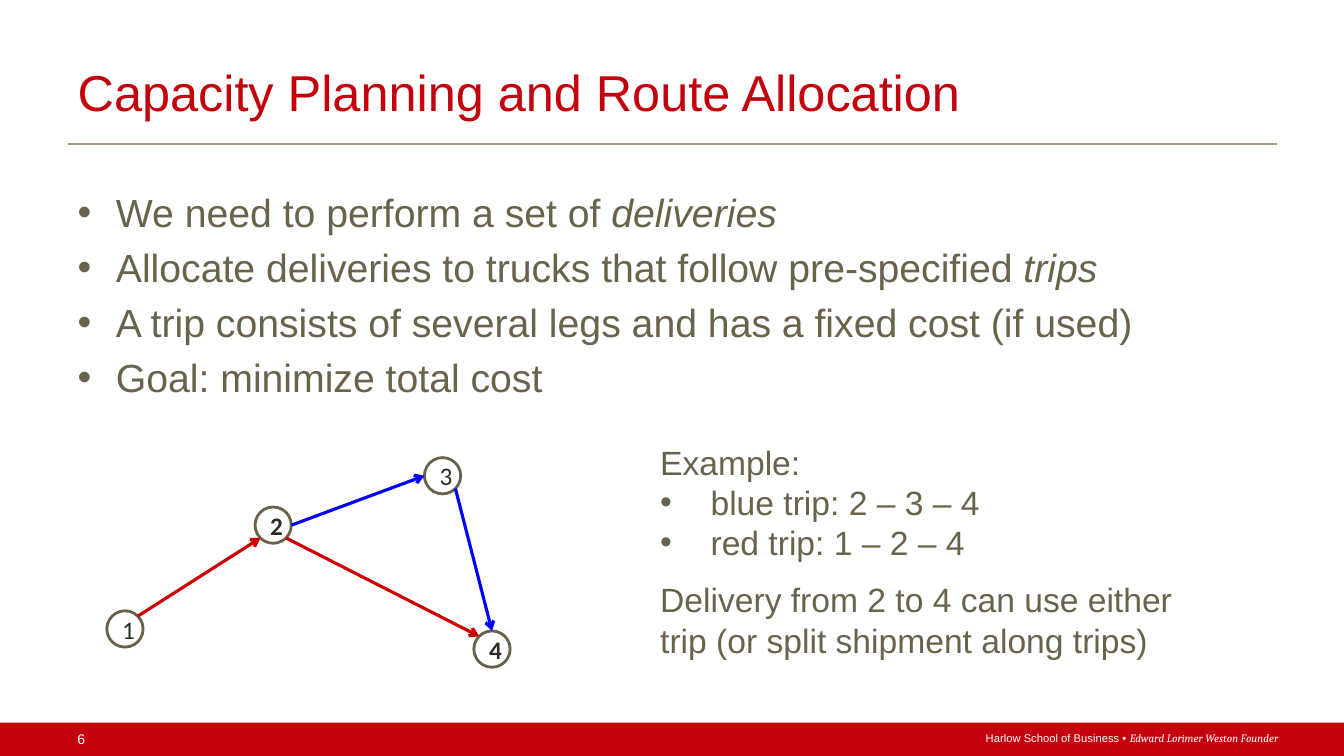
from lxml import etree
from pptx import Presentation
from pptx.dml.color import RGBColor
from pptx.enum.shapes import MSO_CONNECTOR as CONN, MSO_SHAPE as SHAPE
from pptx.enum.text import MSO_ANCHOR as ANCHOR, MSO_AUTO_SIZE as AUTO, PP_ALIGN as ALIGN
from pptx.oxml.ns import qn
from pptx.util import Pt

PX = 9144
RED = RGBColor(0xC4, 0x00, 0x0D)
TAN = RGBColor(0xA8, 0x9D, 0x7F)
OLIVE = RGBColor(0x69, 0x63, 0x4B)
INK = RGBColor(0x2F, 0x2B, 0x20)
WHITE = RGBColor(0xFF, 0xFF, 0xFF)
BLUE_TRIP = RGBColor(0x00, 0x00, 0xFF)
RED_TRIP = RGBColor(0xCC, 0x00, 0x00)

TITLE = "Capacity Planning and Route Allocation"
POINTS = [
    ["We need to perform a set of ", ("deliveries", {"italic": True})],
    ["Allocate deliveries to trucks that follow pre-specified ", ("trips", {"italic": True})],
    ["A trip consists of several legs and has a fixed cost (if used)"],
    ["Goal: minimize total cost"],
]
EXAMPLE = [
    (["Example:"], {}),
    (["blue trip: 2 – 3 – 4"], {"hang": 50}),
    (["red trip: 1 – 2 – 4"], {"hang": 50}),
    (["Delivery from 2 to 4 can use either"], {"before": 12}),
    (["trip (or split shipment along trips)"], {}),
]
FOOTER = ["Harlow School of Business • ",
          ("Edward Lorimer Weston Founder", {"font": "Cambria", "italic": True})]
PAGE = "6"

DIAMETER = 36
NODES = {"1": (106, 606, False), "2": (253, 503, True),
         "3": (421, 454, False), "4": (470, 626, True)}
DIAG = 0.5 ** 0.5
SIDES = {"right": (1, 0), "left": (-1, 0), "top": (0, -1),
         "top right": (DIAG, -DIAG), "top left": (-DIAG, -DIAG),
         "bottom right": (DIAG, DIAG), "bottom left": (-DIAG, DIAG)}
LEGS = [
    ("2", "right", "3", "left", BLUE_TRIP),
    ("1", "top right", "2", "bottom left", RED_TRIP),
    ("2", "bottom right", "4", "top left", RED_TRIP),
    ("3", "bottom right", "4", "top", BLUE_TRIP),
]


def emu(*lengths):
    return [round(n * PX) for n in lengths]


def place(sp, *box):
    sp.left, sp.top, sp.width, sp.height = emu(*box)


def write(tf, runs, size, color, font="Arial", bold=False, italic=False,
          align=ALIGN.LEFT, hang=0, before=None, new=False):
    p = tf.add_paragraph() if new else tf.paragraphs[0]
    p.alignment = align
    if before is not None:
        p.space_before = Pt(before)
    if hang:
        pPr = p._p.get_or_add_pPr()
        pPr.set("marL", str(hang * PX))
        pPr.set("indent", str(-hang * PX))
        etree.SubElement(pPr, qn("a:buFont"), typeface="Arial")
        etree.SubElement(pPr, qn("a:buChar"), char="•")
    for run in runs:
        text, own = (run, {}) if isinstance(run, str) else run
        r = p.add_run()
        r.text = text
        r.font.name = own.get("font", font)
        r.font.size = Pt(size)
        r.font.bold = bold
        r.font.italic = own.get("italic", italic)
        r.font.color.rgb = color


def add_box(s, *box, anchor=ANCHOR.TOP):
    tf = s.shapes.add_textbox(*emu(*box)).text_frame
    tf.word_wrap = True
    tf.vertical_anchor = anchor
    return tf


def add_shape(s, kind, box, fill, line=None):
    sp = s.shapes.add_shape(kind, *emu(*box))
    sp.shadow.inherit = False
    sp.fill.solid()
    sp.fill.fore_color.rgb = fill
    if line is None:
        sp.line.fill.background()
    else:
        sp.line.color.rgb = line
        sp.line.width = Pt(2)
    return sp


def add_line(s, start, end, color, width, arrow=False):
    sp = s.shapes.add_connector(CONN.STRAIGHT, *emu(*start, *end))
    sp.line.color.rgb = color
    sp.line.width = Pt(width)
    if arrow:
        etree.SubElement(sp.line._get_or_add_ln(), qn("a:tailEnd"), type="arrow")
    etree.SubElement(sp._element.spPr, qn("a:effectLst"))


def rim(node, side):
    x, y, _ = NODES[node]
    dx, dy = SIDES[side]
    radius = DIAMETER / 2
    return x + radius * (1 + dx), y + radius * (1 + dy)


def main():
    """Build the capacity planning slide."""
    prs = Presentation()
    prs.slide_width, prs.slide_height = emu(1333, 750)
    s = prs.slides.add_slide(prs.slide_layouts[1])

    add_line(s, (67, 143), (1267, 143), TAN, 1.5)
    add_shape(s, SHAPE.RECTANGLE, (0, 717, 1333, 33), RED)
    write(add_box(s, 100, 721, 1178, 23), FOOTER, 8, WHITE, align=ALIGN.RIGHT)
    write(add_box(s, 67, 722, 300, 23, anchor=ANCHOR.MIDDLE), [PAGE], 10, WHITE)

    title, body = s.placeholders
    place(title, 67, 41, 967, 100)
    place(body, 67, 182, 1200, 232)
    for sp in (title, body):
        sp.text_frame.auto_size = AUTO.NONE
    title.text_frame.vertical_anchor = ANCHOR.MIDDLE
    write(title.text_frame, [TITLE], 36, RED)
    for i, runs in enumerate(POINTS):
        write(body.text_frame, runs, 28, OLIVE, hang=38, new=i > 0)

    for name, (x, y, bold) in NODES.items():
        sp = add_shape(s, SHAPE.OVAL, (x, y, DIAMETER, DIAMETER), WHITE, OLIVE)
        write(sp.text_frame, [name], 18, INK, font="Calibri", bold=bold, align=ALIGN.CENTER)
    for a, a_side, b, b_side, color in LEGS:
        add_line(s, rim(a, a_side), rim(b, b_side), color, 2.25, arrow=True)

    tf = add_box(s, 645, 433, 533, 229)
    for i, (runs, fmt) in enumerate(EXAMPLE):
        write(tf, runs, 24, OLIVE, new=i > 0, **fmt)

    prs.save("out.pptx")


if __name__ == "__main__":
    main()
